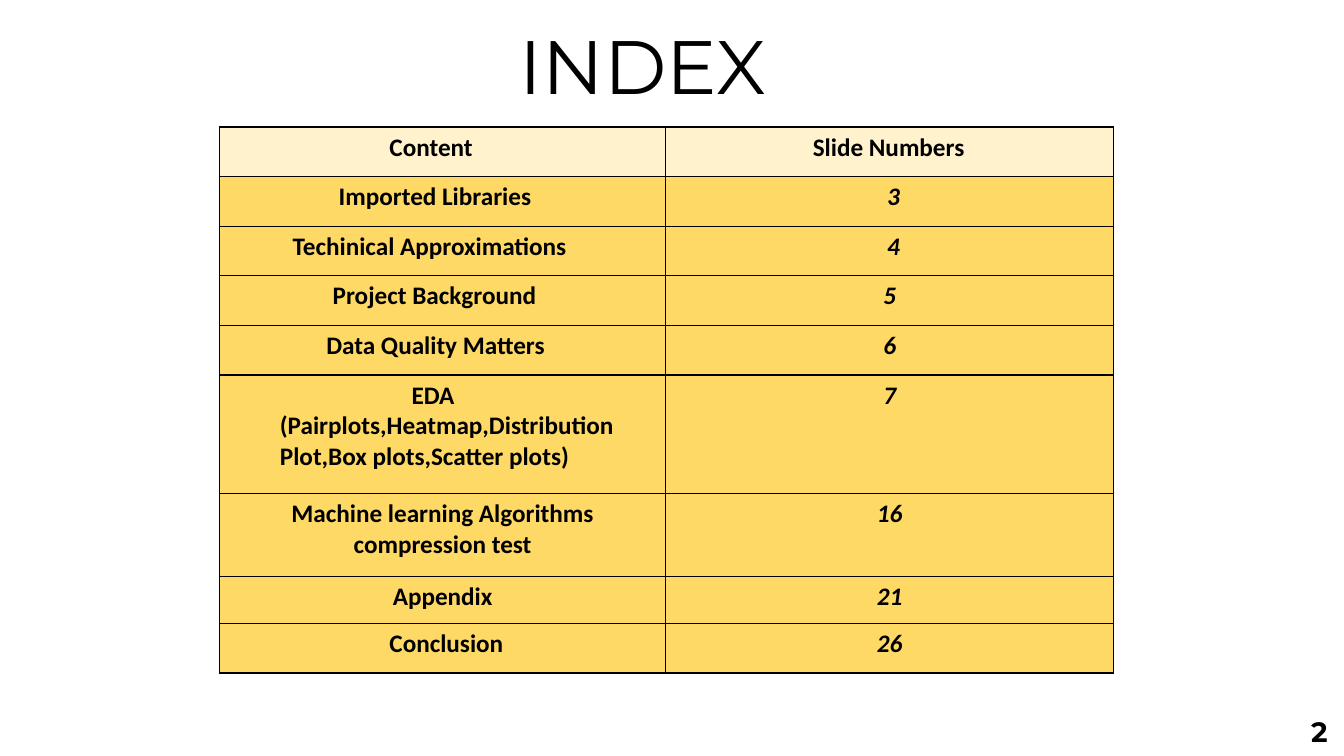
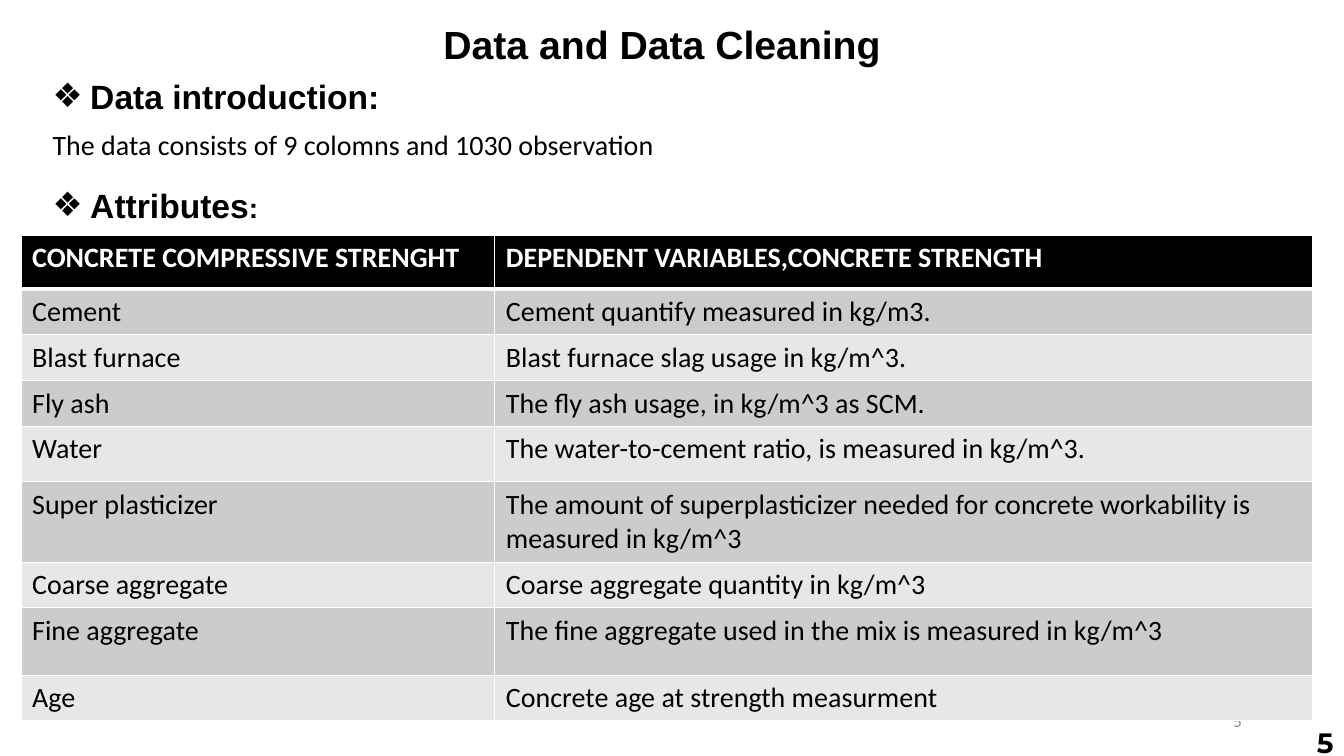
from lxml import etree
from pptx import Presentation
from pptx.dml.color import RGBColor
from pptx.enum.text import MSO_ANCHOR, MSO_AUTO_SIZE, PP_ALIGN
from pptx.oxml.ns import qn
from pptx.util import Cm, Pt

LEFT, MID, RIGHT = PP_ALIGN.LEFT, PP_ALIGN.CENTER, PP_ALIGN.RIGHT
TOP, CENTRE = MSO_ANCHOR.TOP, MSO_ANCHOR.MIDDLE
FIXED = MSO_AUTO_SIZE.NONE
BLACK, WHITE, GREY = "000000", "FFFFFF", "8C8C8C"
CREAM, GOLD, DARK, PALE = "FFF2CC", "FFD966", "CCCCCC", "E7E7E7"
SANS, BODY, HEAD = "Arial", "Calibri", "Montserrat"


def style(para, size, font, color=BLACK, bold=False, align=LEFT):
    para.alignment = align
    for run in para.runs:
        run.font.size = Pt(size)
        run.font.name = font
        run.font.bold = bold
        run.font.color.rgb = RGBColor.from_string(color)


def grid(slide, box, cols, highs, rows, fills, inks, size, bold, edge, rule):
    table = slide.shapes.add_table(len(rows), len(cols), *map(Cm, box)).table
    for col, wide in zip(table.columns, cols):
        col.width = Cm(wide)
    for r, (row, high) in enumerate(zip(rows, highs)):
        table.rows[r].height = Cm(high)
        fill = fills[0] if r == 0 else fills[1 + (r - 1) % (len(fills) - 1)]
        for c, text in enumerate(row):
            cell = table.cell(r, c)
            cell.text_frame.text = text
            cell.fill.solid()
            cell.fill.fore_color.rgb = RGBColor.from_string(fill)
            for para in cell.text_frame.paragraphs:
                style(para, size, BODY, inks[min(r, 1)], bold or r == 0)
            props = cell._tc.get_or_add_tcPr()
            for n, side in enumerate(("lnL", "lnR", "lnT", "lnB")):
                thick = rule if (r, side) in ((0, "lnB"), (1, "lnT")) else 1
                line = etree.Element(qn("a:" + side), w=str(Pt(thick)))
                paint = etree.SubElement(line, qn("a:solidFill"))
                etree.SubElement(paint, qn("a:srgbClr"), val=edge)
                props.insert(n, line)
    return table


deck = Presentation()
deck.slide_width, deck.slide_height = Cm(33.87), Cm(19.05)
index = deck.slides.add_slide(deck.slide_layouts[5])
data = deck.slides.add_slide(deck.slide_layouts[1])

titles = [
    (index, "INDEX", (12.85, 0.36, 8.13, 2.57), 54, HEAD, False),
    (data, "Data and Data Cleaning", (10.92, 0.38, 12.04, 1.45), 28, SANS, True),
]
for slide, text, box, size, font, bold in titles:
    title = slide.shapes.title
    title.left, title.top, title.width, title.height = map(Cm, box)
    frame = title.text_frame
    frame.text = text
    frame.auto_size = FIXED
    frame.vertical_anchor = TOP
    style(frame.paragraphs[0], size, font, bold=bold)

pages = [
    (index, "2", (23.98, 17.91, 9.73, 1.02), 20, HEAD, BLACK, True, RIGHT, CENTRE),
    (data, "5", (23.93, 17.65, 7.62, 1.02), 12, BODY, GREY, False, RIGHT, CENTRE),
    (data, "5", (32.94, 18.16, 2.16, 1.12), 20, HEAD, BLACK, True, LEFT, TOP),
]
for slide, text, box, size, font, color, bold, align, anchor in pages:
    frame = slide.shapes.add_textbox(*map(Cm, box)).text_frame
    frame.text = text
    frame.word_wrap = True
    frame.vertical_anchor = anchor
    style(frame.paragraphs[0], size, font, color, bold, align)

topics = [
    ("Content", "Slide Numbers"),
    ("Imported Libraries", "3"),
    ("Techinical Approximations", "4"),
    ("Project Background", "5"),
    ("Data Quality Matters", "6"),
    ("EDA\n(Pairplots,Heatmap,Distribution Plot,Box plots,Scatter plots)", "7"),
    ("Machine learning Algorithms compression test", "16"),
    ("Appendix", "21"),
    ("Conclusion", "26"),
]
highs = [1.25] * 5 + [2.98, 2.09, 1.19, 1.25]
table = grid(index, (5.53, 3.2, 22.53, 13.76), (11.25, 11.28), highs, topics,
             (CREAM, GOLD), (BLACK, BLACK), 18, True, BLACK, 1)

indents = {
    (0, 0): [4.03], (0, 1): [3.45], (1, 0): [2.75], (1, 1): [5.32],
    (2, 0): [1.59], (2, 1): [5.32], (3, 0): [2.6], (4, 0): [2.44],
    (5, 0): [4.59, 1.27], (8, 0): [4.03],
}
for r in range(len(topics)):
    for c in range(2):
        paras = table.cell(r, c).text_frame.paragraphs
        for n, para in enumerate(paras):
            if (r, c) in indents:
                para._p.get_or_add_pPr().set("marL", str(Cm(indents[r, c][n])))
            else:
                para.alignment = MID
            para.runs[0].font.italic = r > 0 and c == 1

body = data.placeholders[1]
body.left, body.top, body.width, body.height = map(Cm, (1.07, 1.78, 19.15, 4))
frame = body.text_frame
frame.auto_size = FIXED
frame.vertical_anchor = TOP
points = [
    ("Data introduction:", 24, SANS, True, 0),
    ("The data consists of 9 colomns and 1030 observation", 20, BODY, False, 8.4),
    ("Attributes", 24, SANS, True, 16.6),
]
frame.text = "\n".join(point[0] for point in points)
for para, (text, size, font, mark, gap) in zip(frame.paragraphs, points):
    style(para, size, font, bold=mark)
    para.space_before = Pt(gap)
    props = para._p.get_or_add_pPr()
    hang = Cm(0.95) if mark else 0
    props.set("marL", str(hang))
    props.set("indent", str(-hang))
    if mark:
        etree.SubElement(props, qn("a:buChar"), char="❖")
    else:
        etree.SubElement(props, qn("a:buNone"))
colon = para.add_run()
colon.text = ":"
style(para, 24, SANS, bold=True)
colon.font.size = Pt(20)

fields = [
    ("CONCRETE COMPRESSIVE STRENGHT", "DEPENDENT VARIABLES,CONCRETE STRENGTH"),
    ("Cement", "Cement quantify measured in kg/m3."),
    ("Blast furnace", "Blast furnace slag usage in kg/m^3."),
    ("Fly ash", "The fly ash usage, in kg/m^3 as SCM."),
    ("Water", "The water-to-cement ratio, is measured in kg/m^3."),
    ("Super plasticizer", "The amount of superplasticizer needed for concrete "
     "workability is measured in kg/m^3"),
    ("Coarse aggregate", "Coarse aggregate quantity in kg/m^3"),
    ("Fine aggregate", "The fine aggregate used in the mix is measured in kg/m^3"),
    ("Age", "Concrete age at strength measurment"),
]
highs = [1.37, 1.15, 1.15, 1.15, 1.4, 2.03, 1.15, 1.7, 1.15]
table = grid(data, (0.53, 5.92, 32.56, 12.25), (11.94, 20.62), highs, fields,
             (BLACK, DARK, PALE), (WHITE, BLACK), 20, False, WHITE, 3)
for cell in table.iter_cells():
    cell.margin_left = cell.margin_right = Cm(0.28)
    cell.margin_top = cell.margin_bottom = Cm(0.15)

deck.save("out.pptx")
